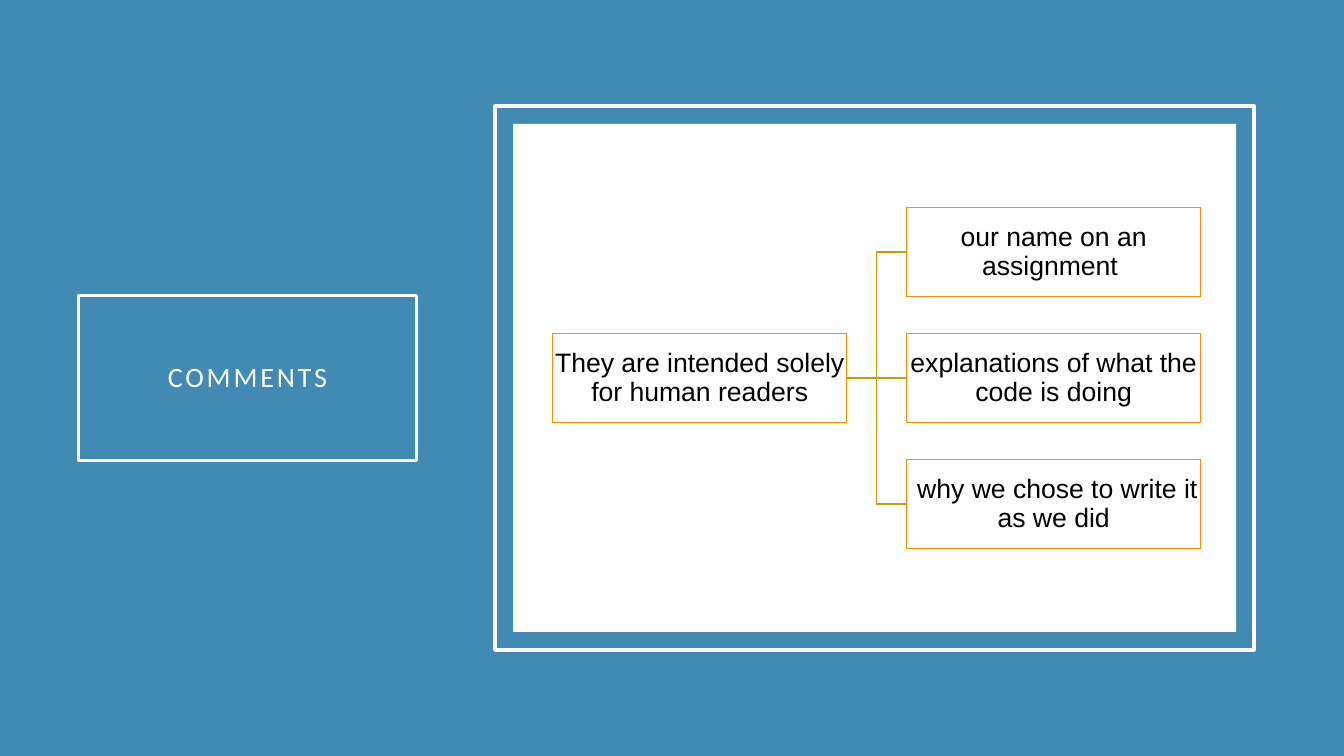
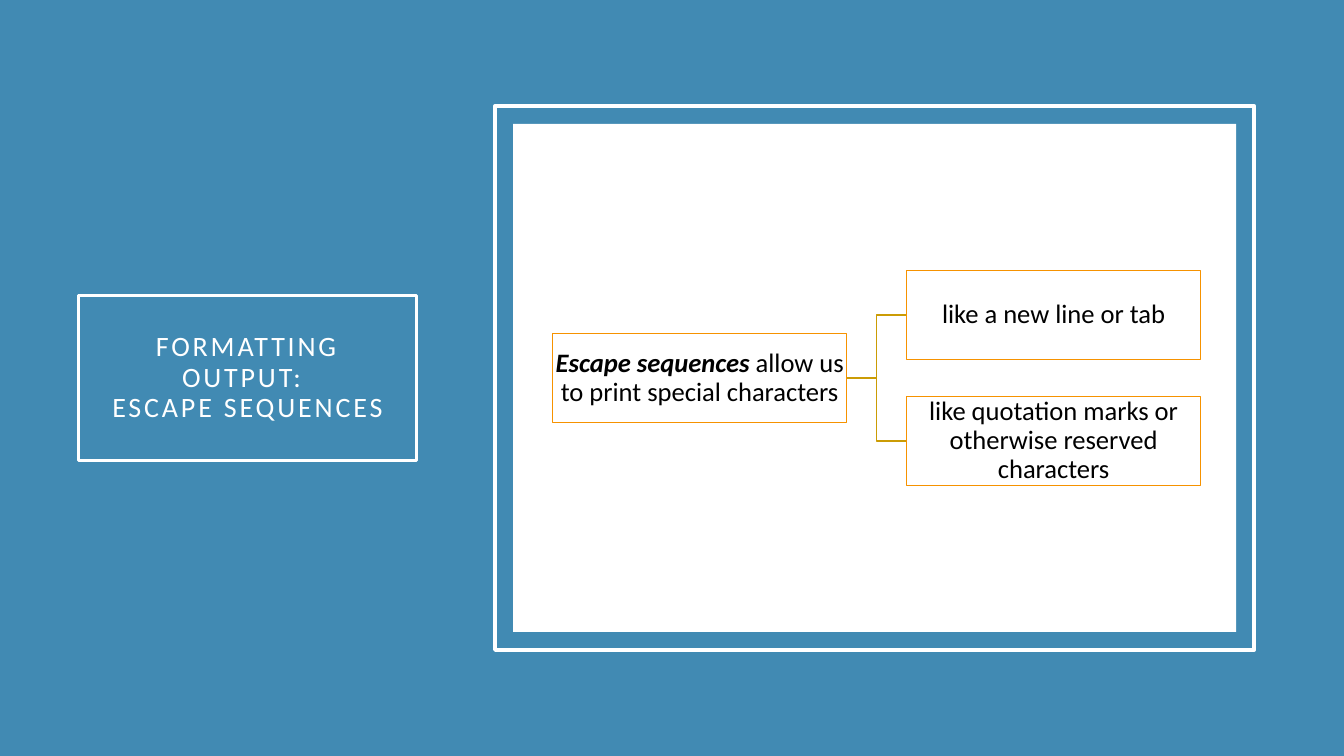
from pptx import Presentation
from pptx.dml.color import RGBColor
from pptx.enum.shapes import MSO_CONNECTOR, MSO_SHAPE
from pptx.enum.text import MSO_ANCHOR, MSO_AUTO_SIZE, PP_ALIGN
from pptx.oxml.ns import qn
from pptx.util import Inches, Pt
from lxml.etree import SubElement

WIDE, HIGH = 13.33, 7.5
MID = HIGH / 2
BLUE, WHITE, BLACK = "418AB3", "FFFFFF", "000000"
AMBER, GOLD = "F69200", "CB9C05"
ROOT_X, LEAF_X = 5.48, 8.99
BOX_W, BOX_H, GAP = 2.92, 0.89, 0.36
RIGHT, LEFT = 3, 1  # connection sites of a rectangle

SLIDES = [
    ("Calibri", ["COMMENTS"], "Arial",
     [("They are intended solely for human readers", False)],
     ["our name on an assignment ",
      "explanations of what the code is doing",
      " why we chose to write it as we did"]),
    ("Calibri", ["FORMATTING OUTPUT: ", "ESCAPE SEQUENCES"], "Calibri",
     [("Escape sequences ", True),
      ("allow us to print special characters", False)],
     ["like a new line or tab",
      "like quotation marks or otherwise reserved characters"]),
]


def color(code):
    """Turn a hex string into a colour."""
    return RGBColor.from_string(code)


def area(left, width, height, mid=MID):
    """Give left, top, width and height of an area centred on mid."""
    return [Inches(n) for n in (left, mid - height / 2, width, height)]


def paint(shape, fill=None, line=None, weight=0):
    """Set fill and outline; None means no paint."""
    if fill:
        shape.fill.solid()
        shape.fill.fore_color.rgb = color(fill)
    else:
        shape.fill.background()
    if line:
        shape.line.color.rgb = color(line)
        shape.line.width = Pt(weight)
    else:
        shape.line.fill.background()


def rect(slide, place, **style):
    """Add a flat rectangle."""
    shape = slide.shapes.add_shape(MSO_SHAPE.RECTANGLE, *place)
    shape.shadow.inherit = False
    paint(shape, **style)
    return shape


def setup(frame, inset):
    """Centre a text frame both ways and return its paragraph."""
    frame.word_wrap = True
    frame.auto_size = MSO_AUTO_SIZE.NONE
    frame.vertical_anchor = MSO_ANCHOR.MIDDLE
    frame.margin_left = frame.margin_right = Inches(inset)
    frame.margin_top = frame.margin_bottom = Inches(inset)
    para = frame.paragraphs[0]
    para.alignment = PP_ALIGN.CENTER
    para.line_spacing = 0.9
    return para


def write(para, text, face, size, ink, strong=False):
    """Add one run of text."""
    run = para.add_run()
    run.text = text
    font = run.font
    font.name, font.size = face, Pt(size)
    font.color.rgb = color(ink)
    font.bold = font.italic = strong
    return run


def head(slide, lines, face):
    """Place the title placeholder and letter-space its lines."""
    title = slide.shapes.title
    title.left, title.top, title.width, title.height = area(0.78, 3.35, 1.64)
    paint(title, line=WHITE, weight=2.5)
    para = setup(title.text_frame, 0.2)
    for i, line in enumerate(lines):
        if i:
            para.add_line_break()
        write(para, line, face, 20, WHITE)
    for tag in ("a:rPr", "a:br"):
        for item in title.element.iter(qn(tag)):
            if tag == "a:rPr":
                item.set("spc", "200")
            else:
                item.get_or_add_rPr().set("sz", "2000") if hasattr(
                    item, "get_or_add_rPr") else SubElement(
                    item, qn("a:rPr")).set("sz", "2000")


def panel(slide):
    """Add the white panel inside its outline."""
    rect(slide, area(4.91, 7.53, 5.4), line=WHITE, weight=2.5)
    rect(slide, area(5.09, 7.17, 5.04), fill=WHITE)


def box(slide, left, mid, runs, face):
    """Add one box of the tree."""
    shape = rect(slide, area(left, BOX_W, BOX_H, mid),
                 fill=WHITE, line=AMBER, weight=0.75)
    para = setup(shape.text_frame, 0.01)
    for text, strong in runs:
        write(para, text, face, 19, BLACK, strong)
    return shape


def link(slide, start, end):
    """Join the right side of one box to the left side of another."""
    level = start.top == end.top
    kind = MSO_CONNECTOR.STRAIGHT if level else MSO_CONNECTOR.ELBOW
    line = slide.shapes.add_connector(kind, 0, 0, 0, 0)
    line.begin_connect(start, RIGHT)
    line.end_connect(end, LEFT)
    line.line.color.rgb = color(GOLD)
    line.line.width = Pt(1)
    SubElement(line.element.spPr, qn("a:effectLst"))


def tree(slide, runs, leaves, face):
    """Add the root box and its leaves, evenly spaced about the middle."""
    root = box(slide, ROOT_X, MID, runs, face)
    for i, text in enumerate(leaves):
        mid = MID + (i - (len(leaves) - 1) / 2) * (BOX_H + GAP)
        link(slide, root, box(slide, LEAF_X, mid, [(text, False)], face))


def main():
    """Build and save the slides."""
    deck = Presentation()
    deck.slide_width, deck.slide_height = Inches(WIDE), Inches(HIGH)
    back = deck.slide_master.background.fill
    back.solid()
    back.fore_color.rgb = color(BLUE)
    for title_face, lines, face, runs, leaves in SLIDES:
        slide = deck.slides.add_slide(deck.slide_layouts[5])
        head(slide, lines, title_face)
        panel(slide)
        tree(slide, runs, leaves, face)
    deck.save("out.pptx")


main()
